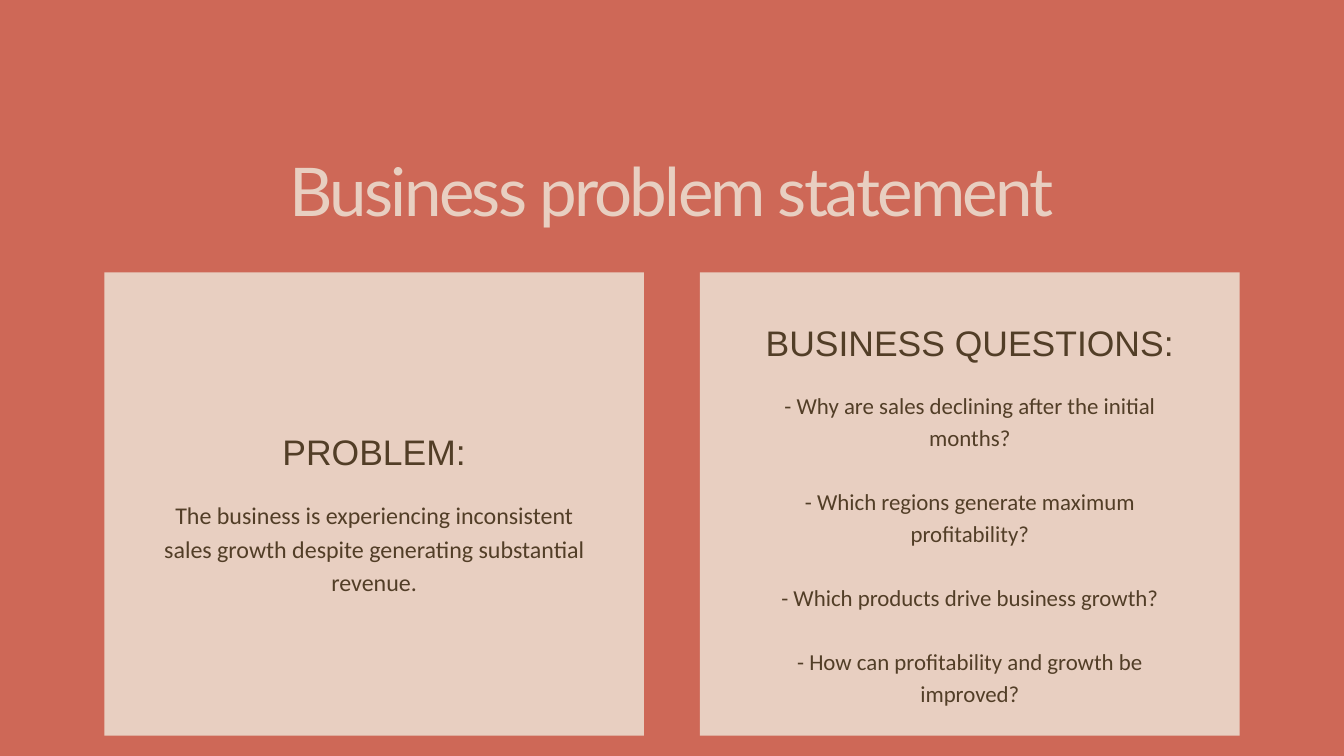
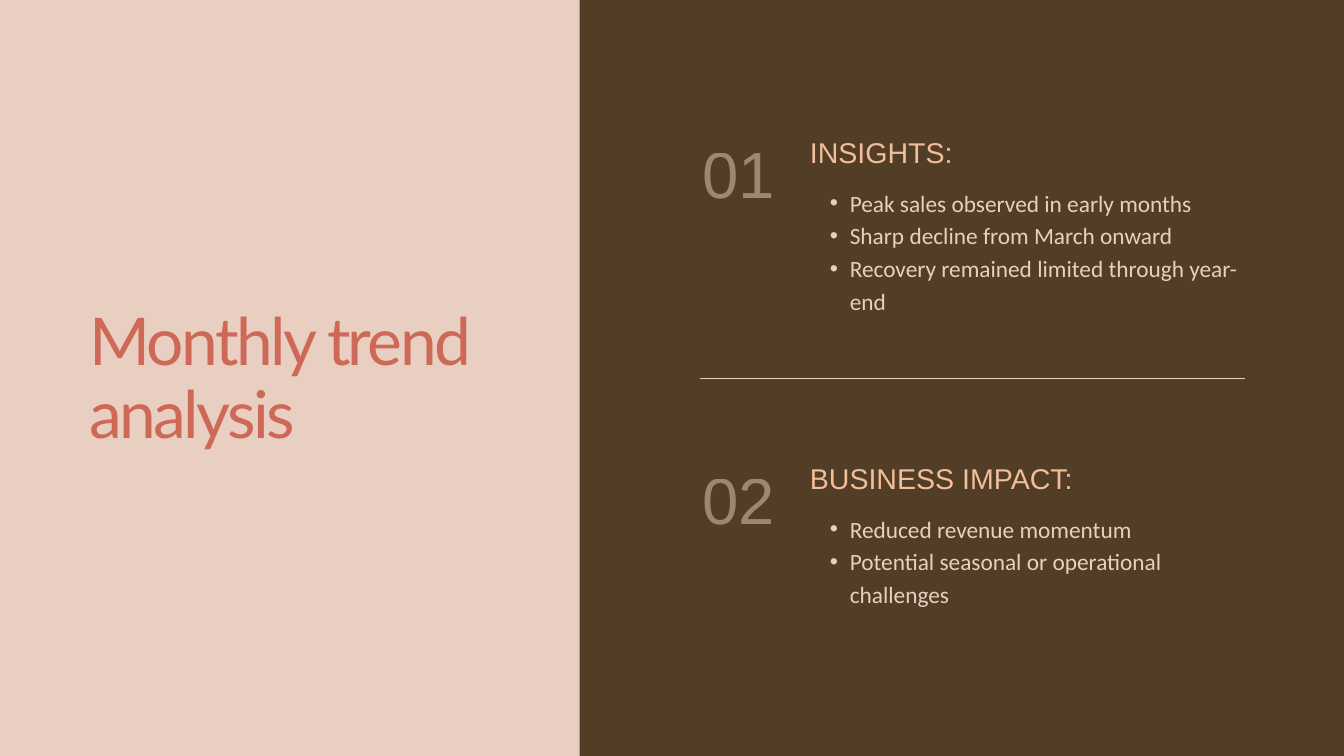
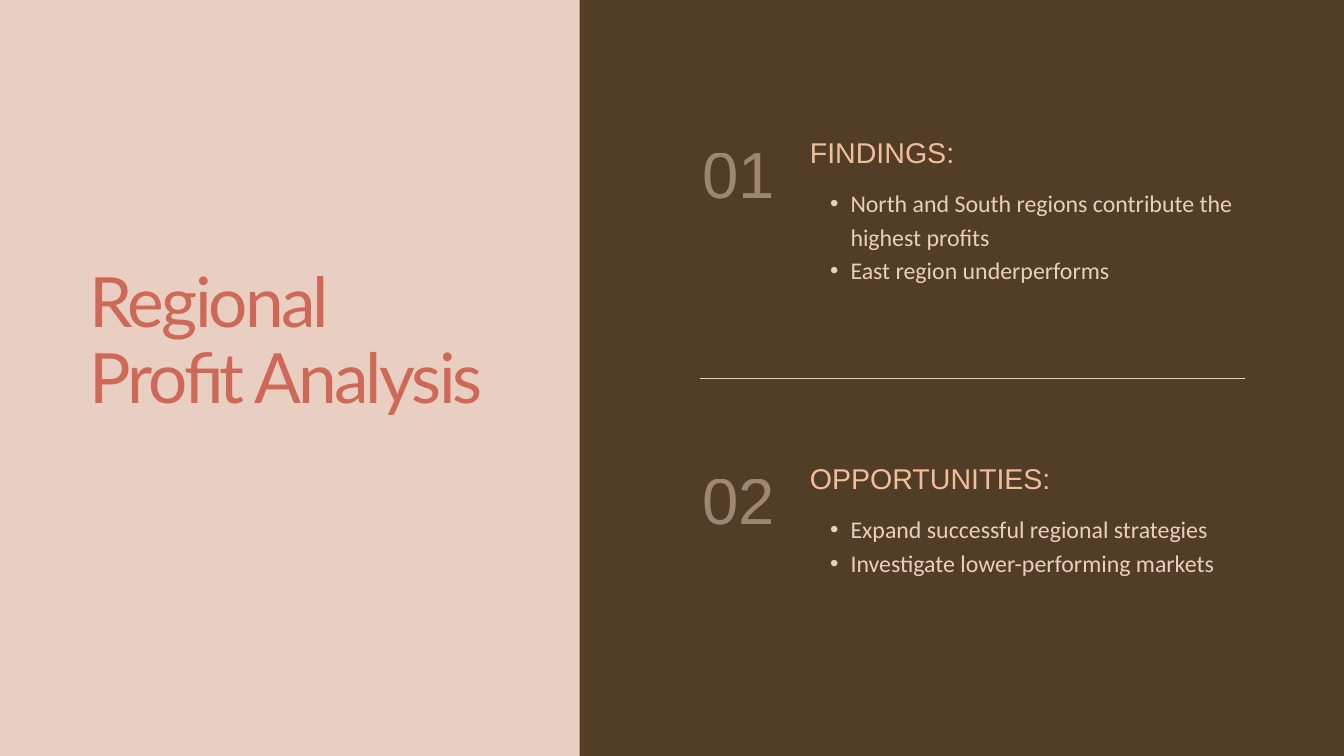
from lxml.etree import SubElement
from pptx import Presentation
from pptx.dml.color import RGBColor
from pptx.enum.shapes import MSO_CONNECTOR as Connector, MSO_SHAPE as Shape
from pptx.enum.text import MSO_AUTO_SIZE as AutoSize, PP_ALIGN as Align
from pptx.oxml.ns import qn
from pptx.util import Pt

EMU_PER_PX = 9525
WIDTH, HEIGHT = 1920, 1080

CORAL, BLUSH, BROWN, PEACH = "CE6857", "E8CFC1", "523E27", "F2BD99"
TITLE_FONT, HEADING_FONT, BODY_FONT = "Lato", "Arial", "Calibri"


def px(*lengths):
    return [round(length * EMU_PER_PX) for length in lengths]


def color(hex_string):
    return RGBColor.from_string(hex_string)


class Deck:
    """Holds the presentation, its style and the slide being filled."""

    def __init__(self):
        self.presentation = Presentation()
        self.presentation.slide_width, self.presentation.slide_height = px(WIDTH, HEIGHT)
        self.slide = None

    def new_slide(self, background):
        self.slide = self.presentation.slides.add_slide(self.presentation.slide_layouts[6])
        fill = self.slide.background.fill
        fill.solid()
        fill.fore_color.rgb = color(background)

    def panel(self, left, top, width, height):
        shape = self.slide.shapes.add_shape(Shape.RECTANGLE, *px(left, top, width, height))
        shape.shadow.inherit = False
        shape.fill.solid()
        shape.fill.fore_color.rgb = color(BLUSH)
        shape.line.fill.background()

    def divider(self, left, top, width):
        line = self.slide.shapes.add_connector(
            Connector.STRAIGHT, *px(left, top, left + width, top))
        line.line.color.rgb = color(BLUSH)
        line.line.width = Pt(0.75)
        SubElement(line.element.spPr, qn("a:effectLst"))

    def text(self, lines, box, *, size, leading, font, ink, align=Align.LEFT,
             gap=0, tracking=0, opacity=100, bullet_indent=None):
        """Write one paragraph per line; sizes are points, the box and indent px."""
        frame = self.slide.shapes.add_textbox(*px(*box)).text_frame
        frame.word_wrap = True
        frame.auto_size = AutoSize.SHAPE_TO_FIT_TEXT
        frame.margin_left = frame.margin_top = frame.margin_right = frame.margin_bottom = 0
        for index, line in enumerate(lines):
            paragraph = frame.add_paragraph() if index else frame.paragraphs[0]
            if bullet_indent:
                self.bullet(paragraph, bullet_indent)
            paragraph.alignment = align
            paragraph.line_spacing = Pt(leading)
            if index and gap:
                paragraph.space_before = Pt(gap)
            run = paragraph.add_run()
            run.text = line
            run.font.name = font
            run.font.size = Pt(size)
            run.font.color.rgb = color(ink)
            properties = run._r.get_or_add_rPr()
            if tracking:
                properties.set("spc", str(round(tracking * 100)))
            if opacity < 100:
                ink_element = properties.find(".//" + qn("a:srgbClr"))
                SubElement(ink_element, qn("a:alpha"), val=str(opacity * 1000))

    def bullet(self, paragraph, indent):
        paragraph.level = 1
        properties = paragraph._p.get_or_add_pPr()
        left, hanging = px(indent, -indent / 2)
        properties.set("marL", str(left))
        properties.set("indent", str(hanging))
        SubElement(properties, qn("a:buFont"), typeface="Arial")
        SubElement(properties, qn("a:buChar"), char="•")

    def title(self, words, box, **text_format):
        self.text([words], box, font=TITLE_FONT, **text_format)

    def card(self, left, heading, lines, heading_top, body_height, **body_format):
        top, width, height, padding = 389, 771, 662, 81
        self.panel(left, top, width, height)
        text_left, text_width = left + padding, width - 2 * padding
        shared = {"ink": BROWN, "align": Align.CENTER}
        self.text([heading], (text_left, heading_top, text_width, 66),
                  size=38, leading=53.2, font=HEADING_FONT, **shared)
        self.text(lines, (text_left, heading_top + 104, text_width, body_height),
                  font=BODY_FONT, **shared, **body_format)

    def numbered_point(self, number, heading, lines, **body_format):
        top = 193 + (number - 1) * 466
        left, width = 1157, 622
        self.text([heading], (left, top, width, 49),
                  size=30.6, leading=36.8, font=HEADING_FONT, ink=PEACH)
        self.text(lines, (left, top + 70, width, 136),
                  font=BODY_FONT, ink=BLUSH, **body_format)
        self.text([f"{number:02}"], (960, top + 7, 147, 105), size=70, leading=77,
                  font=HEADING_FONT, ink=BLUSH, align=Align.RIGHT, opacity=50)

    def analysis_slide(self, title, title_box, title_format, points, body_format):
        self.new_slide(BROWN)
        self.divider(1000, HEIGHT // 2, 779)
        self.panel(0, 0, 828, HEIGHT)
        self.title(title, title_box, ink=CORAL, **title_format)
        for number, (heading, lines) in enumerate(points, start=1):
            self.numbered_point(number, heading, lines, **body_format)


def main():
    deck = Deck()

    deck.new_slide(CORAL)
    deck.title("Business problem statement", (263, 204, 1393, 122), size=72,
               leading=93.6, ink=BLUSH, tracking=-2.9, align=Align.CENTER)
    deck.card(149, "PROBLEM:", [
        "The business is experiencing inconsistent sales growth despite "
        "generating substantial revenue.",
    ], heading_top=604, body_height=138, size=25.7, leading=36)
    deck.card(1000, "BUSINESS QUESTIONS:", [
        "- Why are sales declining after the initial months?",
        "- Which regions generate maximum profitability?",
        "- Which products drive business growth?",
        "- How can profitability and growth be improved?",
    ], heading_top=449, body_height=448, size=24.5, leading=34.3, gap=34.3)

    deck.analysis_slide(
        "Monthly trend analysis", (128, 438, 570, 209),
        {"size": 70.5, "leading": 77.6, "tracking": -2.8},
        [
            ("INSIGHTS:", [
                "Peak sales observed in early months",
                "Sharp decline from March onward",
                "Recovery remained limited through year-end",
            ]),
            ("BUSINESS IMPACT:", [
                "Reduced revenue momentum",
                "Potential seasonal or operational challenges",
            ]),
        ],
        {"size": 25, "leading": 35, "bullet_indent": 57})

    deck.analysis_slide(
        "Regional Profit Analysis", (128, 379, 570, 327),
        {"size": 74.3, "leading": 81.7, "tracking": -3},
        [
            ("FINDINGS:", [
                "North and South regions contribute the highest profits",
                "East region underperforms",
            ]),
            ("OPPORTUNITIES:", [
                "Expand successful regional strategies",
                "Investigate lower-performing markets",
            ]),
        ],
        {"size": 25.6, "leading": 35.8, "bullet_indent": 58})

    deck.presentation.save("out.pptx")


if __name__ == "__main__":
    main()
